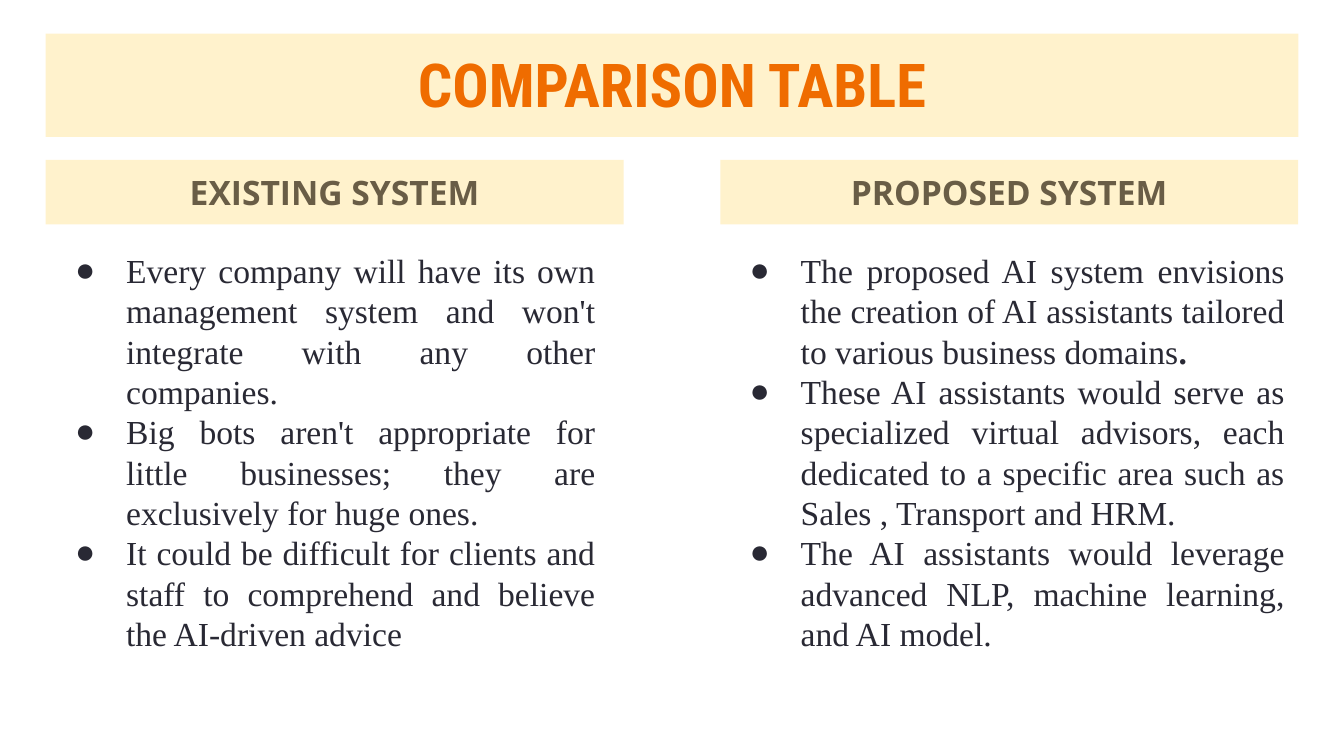
from lxml.etree import SubElement
from pptx import Presentation
from pptx.dml.color import RGBColor
from pptx.enum.shapes import MSO_SHAPE
from pptx.enum.text import MSO_ANCHOR, PP_ALIGN
from pptx.oxml.ns import qn
from pptx.util import Inches, Pt

# Content: each paragraph is a list of (text, bold) spans
TITLE = "COMPARISON TABLE"
COLUMNS = [
    ("EXISTING SYSTEM", [
        [("Every company will have its own management system and won't "
          "integrate with any other companies.", False)],
        [("Big bots aren't appropriate for little businesses; they are "
          "exclusively for huge ones. ", False)],
        [("It could be difficult for clients and staff to comprehend and "
          "believe the AI-driven advice", False)],
    ], 4.19, 3.42),
    ("PROPOSED SYSTEM", [
        [("The proposed AI system envisions the creation of AI assistants "
          "tailored to various business domains", False), (". ", True)],
        [("These AI assistants would serve as specialized virtual advisors, "
          "each dedicated to a specific area such as Sales , Transport and "
          "HRM. ", False)],
        [("The AI assistants would leverage advanced NLP, machine learning, "
          "and AI model.", False)],
    ], 4.3, 3.24),
]

CREAM = RGBColor(0xFF, 0xF2, 0xCC)
ORANGE = RGBColor(0xEF, 0x6C, 0x00)
BROWN = RGBColor(0x69, 0x5D, 0x46)
INK = RGBColor(0x29, 0x29, 0x34)

# Grid, in inches, on a 16:9 slide
WIDTH = 10
HEIGHT = WIDTH * 9 / 16
MARGIN, COLUMN_WIDTH = 0.34, 4.3
COLUMN_STEP = WIDTH - 2 * MARGIN - COLUMN_WIDTH
TITLE_TOP, TITLE_HEIGHT = 0.25, 0.77
HEADING_TOP, HEADING_HEIGHT = 1.19, 0.48
BODY_TOP = 1.76
INSET, INDENT, HANGING = 0.1, 0.5, 0.38


def add_bullet(para, font):
    properties = para._p.get_or_add_pPr()
    properties.set("marL", str(Inches(INDENT)))
    properties.set("indent", str(-Inches(HANGING)))
    color = SubElement(properties, qn("a:buClr"))
    SubElement(color, qn("a:srgbClr")).set("val", str(INK))
    SubElement(properties, qn("a:buFont")).set("typeface", font)
    SubElement(properties, qn("a:buChar")).set("char", "●")


def write(box, paragraphs, *, font, size, color, align,
          anchor=MSO_ANCHOR.MIDDLE, bullets=False):
    frame = box.text_frame
    frame.word_wrap = True
    frame.vertical_anchor = anchor
    frame.margin_left = frame.margin_right = Inches(INSET)
    frame.margin_top = frame.margin_bottom = Inches(INSET)
    for index, spans in enumerate(paragraphs):
        para = frame.add_paragraph() if index else frame.paragraphs[0]
        para.alignment = align
        para.line_spacing = 1.0
        if bullets:
            add_bullet(para, font)
        for text, bold in spans:
            span = para.add_run()
            span.text = text
            span.font.name = font
            span.font.size = Pt(size)
            span.font.bold = bold
            span.font.color.rgb = color


def add_banner(page, text, left, top, width, height, **text_format):
    banner = page.shapes.add_shape(
        MSO_SHAPE.RECTANGLE, *map(Inches, (left, top, width, height)))
    banner.shadow.inherit = False
    banner.fill.solid()
    banner.fill.fore_color.rgb = CREAM
    banner.line.fill.background()
    write(banner, [[(text, True)]], align=PP_ALIGN.CENTER, **text_format)


deck = Presentation()
deck.slide_width, deck.slide_height = Inches(WIDTH), Inches(HEIGHT)
page = deck.slides.add_slide(deck.slide_layouts[6])

# Title banner
add_banner(page, TITLE, MARGIN, TITLE_TOP, WIDTH - 2 * MARGIN, TITLE_HEIGHT,
           font="Roboto Condensed", size=32.4, color=ORANGE,
           anchor=MSO_ANCHOR.TOP)

# Two columns: heading banner above a bulleted list
for number, (heading, points, width, height) in enumerate(COLUMNS):
    left = MARGIN + number * COLUMN_STEP
    add_banner(page, heading, left, HEADING_TOP, COLUMN_WIDTH, HEADING_HEIGHT,
               font="Open Sans", size=18, color=BROWN)
    body = page.shapes.add_textbox(
        *map(Inches, (left, BODY_TOP, width, height)))
    write(body, points, font="Times New Roman", size=18, color=INK,
          align=PP_ALIGN.JUSTIFY, anchor=MSO_ANCHOR.TOP, bullets=True)

deck.save("out.pptx")
